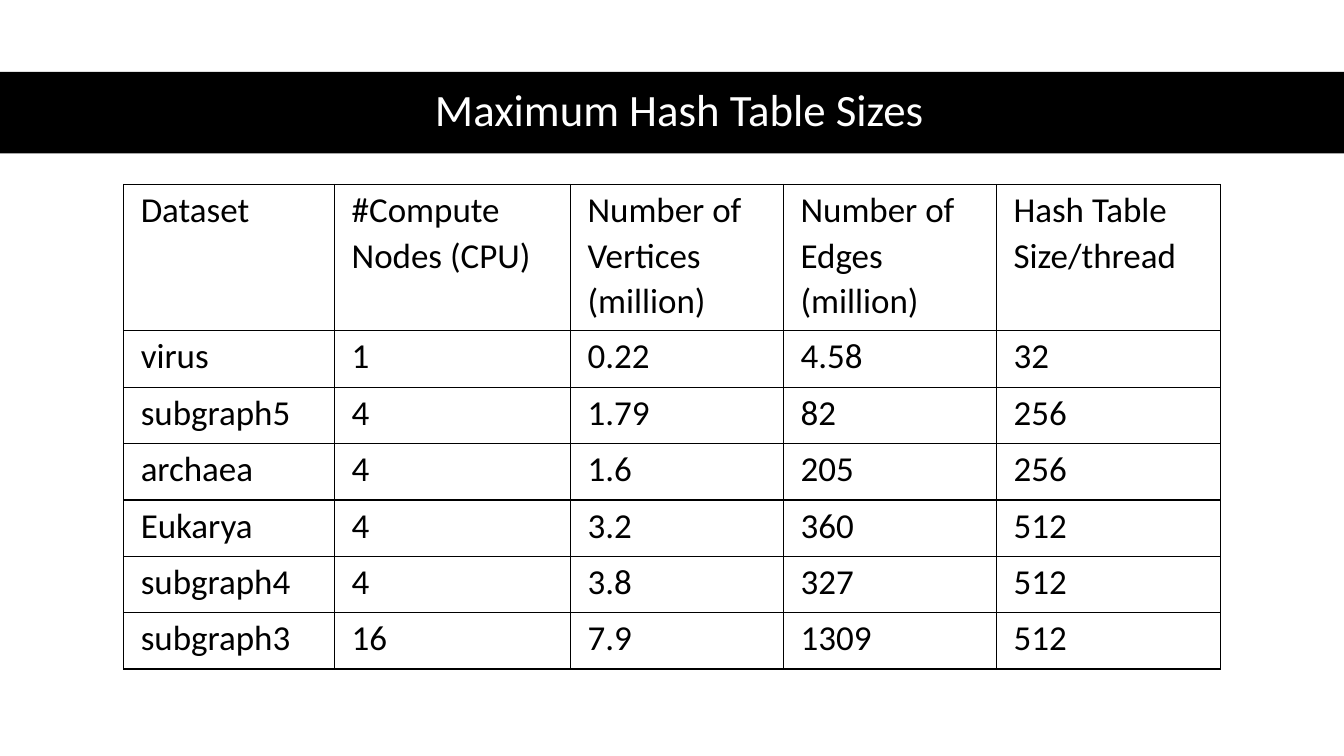
import lxml.etree
import pptx
import pptx.dml.color
import pptx.enum.shapes
import pptx.enum.text
import pptx.oxml.ns
import pptx.util

COLOURS = {"ink": "000000", "paper": "FFFFFF"}
FONT = "Calibri"
GRID = 100  # columns and rows across the slide


def rgb(name):
    return pptx.dml.color.RGBColor.from_string(COLOURS[name])


def write(frame, text, *, size, colour="ink", spacing=1.0,
          align=pptx.enum.text.PP_ALIGN.LEFT):
    """Put one formatted paragraph into a text frame."""
    para = frame.paragraphs[0]
    para.alignment = align
    para.line_spacing = spacing
    para.space_before = para.space_after = pptx.util.Pt(0)
    span = para.add_run()
    span.text = text
    span.font.name = FONT
    span.font.size = pptx.util.Pt(size)
    span.font.color.rgb = rgb(colour)


class SlideBuilder:
    def __init__(self, deck):
        self.deck = deck
        self.page = deck.slides.add_slide(deck.slide_layouts[5])
        self.page.background.fill.solid()
        self.page.background.fill.fore_color.rgb = rgb("paper")

    def across(self, columns):
        return round(self.deck.slide_width * columns / GRID)

    def down(self, rows):
        return round(self.deck.slide_height * rows / GRID)

    def area(self, left, top, width, height):
        return (self.across(left), self.down(top),
                self.across(width), self.down(height))

    def band(self, *place, colour="ink"):
        box = self.page.shapes.add_shape(
            pptx.enum.shapes.MSO_SHAPE.RECTANGLE, *self.area(*place))
        box.shadow.inherit = False
        box.fill.solid()
        box.fill.fore_color.rgb = rgb(colour)
        box.line.fill.background()
        return box

    def title(self, text, *place, behind):
        box = self.page.shapes.title
        box.left, box.top, box.width, box.height = self.area(*place)
        box.text_frame.word_wrap = True
        box.text_frame.vertical_anchor = pptx.enum.text.MSO_ANCHOR.MIDDLE
        write(box.text_frame, text, size=32, colour="paper", spacing=0.9,
              align=pptx.enum.text.PP_ALIGN.CENTER)
        behind.element.addnext(box.element)

    def border(self, cell, width=1, colour="ink"):
        properties = cell._tc.get_or_add_tcPr()
        for side in ("lnL", "lnR", "lnT", "lnB"):
            line = lxml.etree.SubElement(
                properties, pptx.oxml.ns.qn(f"a:{side}"),
                w=str(pptx.util.Pt(width)))
            fill = lxml.etree.SubElement(line, pptx.oxml.ns.qn("a:solidFill"))
            lxml.etree.SubElement(fill, pptx.oxml.ns.qn("a:srgbClr"),
                                  val=COLOURS[colour])

    def table(self, records, left, top, widths, heights):
        table = self.page.shapes.add_table(
            len(records), len(widths),
            *self.area(left, top, sum(widths), sum(heights))).table
        table.first_row = table.horz_banding = False
        for column, width in zip(table.columns, widths):
            column.width = self.across(width)
        for row, height, record in zip(table.rows, heights, records):
            row.height = self.down(height)
            for cell, text in zip(row.cells, record):
                self.border(cell)
                cell.fill.background()
                cell.margin_left = cell.margin_right = pptx.util.Inches(0.17)
                cell.margin_top = pptx.util.Inches(0.02)
                cell.margin_bottom = 0
                write(cell.text_frame, text, size=25, spacing=1.07)


DATASETS = [
    ("Dataset", "#Compute Nodes (CPU)", "Number of Vertices (million)",
     "Number of Edges (million)", "Hash Table Size/thread"),
    ("virus", "1", "0.22", "4.58", "32"),
    ("subgraph5", "4", "1.79", "82", "256"),
    ("archaea", "4", "1.6", "205", "256"),
    ("Eukarya", "4", "3.2", "360", "512"),
    ("subgraph4", "4", "3.8", "327", "512"),
    ("subgraph3", "16", "7.9", "1309", "512"),
]

deck = pptx.Presentation()
deck.slide_width = pptx.util.Inches(13.33)
deck.slide_height = pptx.util.Inches(7.5)
slide = SlideBuilder(deck)

# Title on its full-width band
title_band = slide.band(0, 9.5, GRID, 10.8)
slide.title("Maximum Hash Table Sizes", 4.55, 9.4, 92, 10.8, behind=title_band)

# Hash table sizes by dataset
slide.table(DATASETS, 9.2, 24.4,
            widths=[15.7, 17.55, 15.85, 15.85, 16.65],
            heights=[19.35] + [7.46] * (len(DATASETS) - 1))

deck.save("out.pptx")
